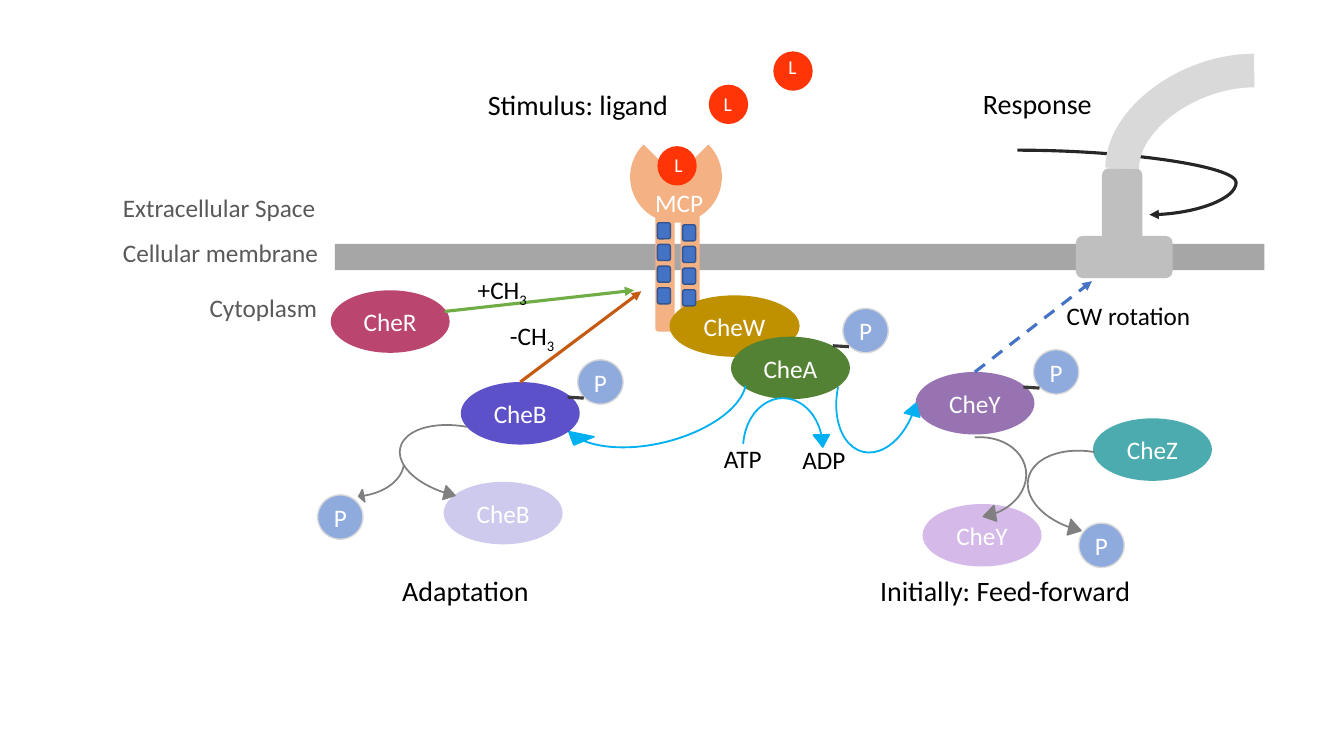
from lxml.etree import SubElement
from pptx import Presentation
from pptx.dml.color import RGBColor
from pptx.enum.dml import MSO_LINE
from pptx.enum.shapes import MSO_CONNECTOR, MSO_SHAPE
from pptx.enum.text import MSO_ANCHOR, PP_ALIGN
from pptx.oxml.ns import qn
from pptx.util import Inches, Pt

FONT = "Calibri"
WHITE, BLACK, LABEL_GREY = "FFFFFF", "000000", "595959"
PEACH, CYAN, ARROW_GREY, MOTOR_GREY = "F4B183", "00B0F0", "808080", "BFBFBF"
SWEEP = (0.004, 10.677, 204.577, 112.151, 0.084)


def color(value):
    return RGBColor.from_string(value)


class PathwaySlide:
    def __init__(self, page):
        self.shapes = page.shapes

    def set_text(self, frame, text, size, ink, align=None, subscript=None):
        frame.word_wrap = True
        para = frame.paragraphs[0]
        para.alignment = align
        para.add_run().text = text
        if subscript:
            span = para.add_run()
            span.text = subscript
            span.font._element.set("baseline", "-25000")
        para.font.name, para.font.size = FONT, Pt(size)
        para.font.color.rgb = color(ink)

    def shape(self, kind, left, top, width, height, fill, line=None, rotation=0, alpha=None):
        item = self.shapes.add_shape(
            kind, Inches(left), Inches(top), Inches(width), Inches(height))
        item.shadow.inherit = False
        item.rotation = rotation
        item.fill.solid()
        item.fill.fore_color.rgb = color(fill)
        if alpha:
            tint = item._element.spPr.find(qn("a:solidFill"))[0]
            SubElement(tint, qn("a:alpha")).set("val", str(alpha * 1000))
        if line:
            item.line.color.rgb = color(line)
            item.line.width = Pt(1)
        else:
            item.line.fill.background()
        return item

    def oval(self, text, left, top, width, height, fill, line=None, alpha=None):
        item = self.shape(MSO_SHAPE.OVAL, left, top, width, height, fill, line, alpha=alpha)
        frame = item.text_frame
        frame.vertical_anchor = MSO_ANCHOR.MIDDLE
        frame.margin_left = frame.margin_right = 0
        self.set_text(frame, text, 18, WHITE, PP_ALIGN.CENTER)
        return item

    def protein(self, text, left, top, fill, alpha=None):
        return self.oval(text, left, top, 1.18, 0.62, fill, alpha=alpha)

    def phosphate(self, left, top, bound=False):
        self.oval("P", left, top, 0.45, 0.44, "8FAADC", "D9D9D9")
        if bound:
            self.connector((left - 0.1, top + 0.37), (left + 0.06, top + 0.38), "3B3838")

    def ligand(self, left, top):
        self.shape(MSO_SHAPE.OVAL, left, top, 0.39, 0.39, "FF3507")

    def label(self, text, left, top, width, size=18, ink=BLACK, subscript=None):
        box = self.shapes.add_textbox(
            Inches(left), Inches(top), Inches(width), Inches(0.44 if size == 20 else 0.4))
        self.set_text(box.text_frame, text, size, ink, subscript=subscript)

    def turn(self, left, top, width, height, ink, rotation=0, flip=False, bend=SWEEP):
        item = self.shape(MSO_SHAPE.CIRCULAR_ARROW, left, top, width, height, ink, ink, rotation)
        for index, value in enumerate(bend):
            item.adjustments[index] = value
        if flip:
            item._element.spPr.find(qn("a:xfrm")).set("flipV", "1")

    def connector(self, start, end, ink, width=2.25, arrow=False, dash=None,
                  source=None, curve=None, bend=None):
        kind = MSO_CONNECTOR.CURVE if curve else MSO_CONNECTOR.STRAIGHT
        item = self.shapes.add_connector(kind, *map(Inches, start + end))
        if source is not None:
            item.begin_connect(source, 0)
        item.line.color.rgb = color(ink)
        item.line.width = Pt(width)
        if dash:
            item.line.dash_style = dash
        properties = item._element.spPr
        if curve:
            geometry = properties.find(qn("a:prstGeom"))
            geometry.set("prst", curve)
            if bend:
                guide = SubElement(geometry.find(qn("a:avLst")), qn("a:gd"))
                guide.set("name", "adj1")
                guide.set("fmla", f"val {bend}")
        if arrow:
            SubElement(properties.find(qn("a:ln")), qn("a:tailEnd")).set("type", "triangle")
        SubElement(properties, qn("a:effectLst"))


def main():
    deck = Presentation()
    deck.slide_width, deck.slide_height = Inches(13.33), Inches(7.5)
    slide = PathwaySlide(deck.slides.add_slide(deck.slide_layouts[6]))

    # Membrane and receptor
    slide.shape(MSO_SHAPE.RECTANGLE, 3.32, 2.42, 9.22, 0.26, "A6A6A6")
    slide.shape(MSO_SHAPE.PIE, 6.25, 1.3, 0.91, 0.91, PEACH, rotation=315)
    slide.shape(MSO_SHAPE.ROUNDED_RECTANGLE, 6.5, 2.14, 0.19, 1.15, PEACH)
    slide.ligand(6.52, 1.45)
    slide.shape(MSO_SHAPE.ROUNDED_RECTANGLE, 6.75, 2.11, 0.19, 1.15, PEACH)

    # Kinase complex
    slide.oval("CheW", 6.64, 2.93, 1.29, 0.61, "BF9000")
    slide.protein("CheA", 7.25, 3.34, "548235")
    slide.phosphate(8.36, 3.06, bound=True)
    slide.turn(7.29, 3.87, 0.95, 1.15, CYAN)
    slide.label("ATP", 7.08, 4.35, 0.68)
    slide.label("ADP", 7.86, 4.36, 0.68)
    slide.turn(5.43, 3.36, 2.1, 1.15, CYAN, 166.5, bend=(0.004, 6.09, 204.577, 112.151, 0.095))
    slide.label("MCP", 6.4, 1.81, 1.01, ink=WHITE)
    slide.ligand(7.03, 0.84)

    # Compartment names
    for text, left, top in (("Extracellular Space", 1.12, 1.86),
                            ("Cellular membrane", 1.12, 2.31),
                            ("Cytoplasm", 1.98, 2.85)):
        slide.label(text, left, top, 2.55, ink=LABEL_GREY)

    # Adaptation branch
    active_cheb = slide.protein("CheB", 4.57, 3.79, "2111B6", alpha=73)
    slide.protein("CheB", 4.4, 4.78, "2111B6", alpha=22)
    slide.phosphate(5.73, 3.57, bound=True)
    slide.turn(3.08, 4, 0.82, 1.16, ARROW_GREY, 90, bend=(0.004, 4.882, 204.577, 164.532, 0.077))
    slide.turn(4.18, 3.87, 0.83, 1.42, ARROW_GREY, 102.2, flip=True)
    slide.phosphate(3.15, 4.91)

    # Methylation sites
    for left, top in ((6.77, 2.23), (6.52, 2.21)):
        for row in range(4):
            slide.shape(MSO_SHAPE.ROUNDED_RECTANGLE, left, top + row * 0.215, 0.13, 0.16,
                        "4472C4", "325491")

    # Methylation and demethylation
    slide.connector((5.16, 3.79), (6.36, 2.89), "C55A11", arrow=True, source=active_cheb)
    slide.protein("CheR", 3.28, 2.88, "A10039", alpha=73)
    slide.connector((4.41, 3.09), (6.29, 2.88), "70AD47", arrow=True)
    slide.label("+CH", 4.64, 2.67, 1.14, subscript="3")
    slide.label("-CH", 4.96, 3.13, 1.14, subscript="3")

    # Feed-forward branch
    active_chey = slide.protein("CheY", 9.08, 3.69, "9773B1")
    slide.phosphate(10.25, 3.47, bound=True)
    slide.protein("CheY", 9.15, 5, "BC91DD", alpha=62)
    slide.protein("CheZ", 10.84, 4.15, "4BABAF")
    slide.turn(9.21, 4.16, 0.95, 1.15, ARROW_GREY, 81.5)
    slide.turn(10.34, 4.17, 0.95, 1.42, ARROW_GREY, 102.2, flip=True)
    slide.phosphate(10.7, 5.19)
    slide.turn(8.23, 3.21, 0.95, 1.37, CYAN, 14.2, flip=True)

    # Flagellar motor
    slide.connector((10.09, 1.49), (11.4, 2.13), "262626", arrow=True,
                    curve="curvedConnector3", bend=165700)
    slide.shape(MSO_SHAPE.ROUNDED_RECTANGLE, 10.93, 1.67, 0.4, 0.75, MOTOR_GREY)
    slide.shape(MSO_SHAPE.ROUNDED_RECTANGLE, 10.94, 2.07, 0.42, 0.96, MOTOR_GREY, rotation=90)
    slide.connector((12.44, 0.7), (11.13, 1.67), "D9D9D9", 24, curve="curvedConnector2")
    slide.connector((9.67, 3.69), (10.83, 2.79), "4472C4", arrow=True,
                    dash=MSO_LINE.DASH, source=active_chey)
    slide.label("CW rotation", 10.48, 2.93, 2.29)

    # Headings
    for text, left, top, width in (("Stimulus: ligand", 4.74, 0.82, 2.55),
                                   ("Initially: Feed-forward", 8.63, 5.64, 3),
                                   ("Adaptation", 3.89, 5.64, 1.95),
                                   ("Response", 9.65, 0.81, 1.46)):
        slide.label(text, left, top, width, size=20)

    # Ligand letters
    slide.ligand(7.67, 0.51)
    for left, top in ((6.59, 1.47), (7.08, 0.86), (7.72, 0.5)):
        slide.label("L", left, top, 0.44, size=14, ink=WHITE)

    deck.save("out.pptx")


if __name__ == "__main__":
    main()
